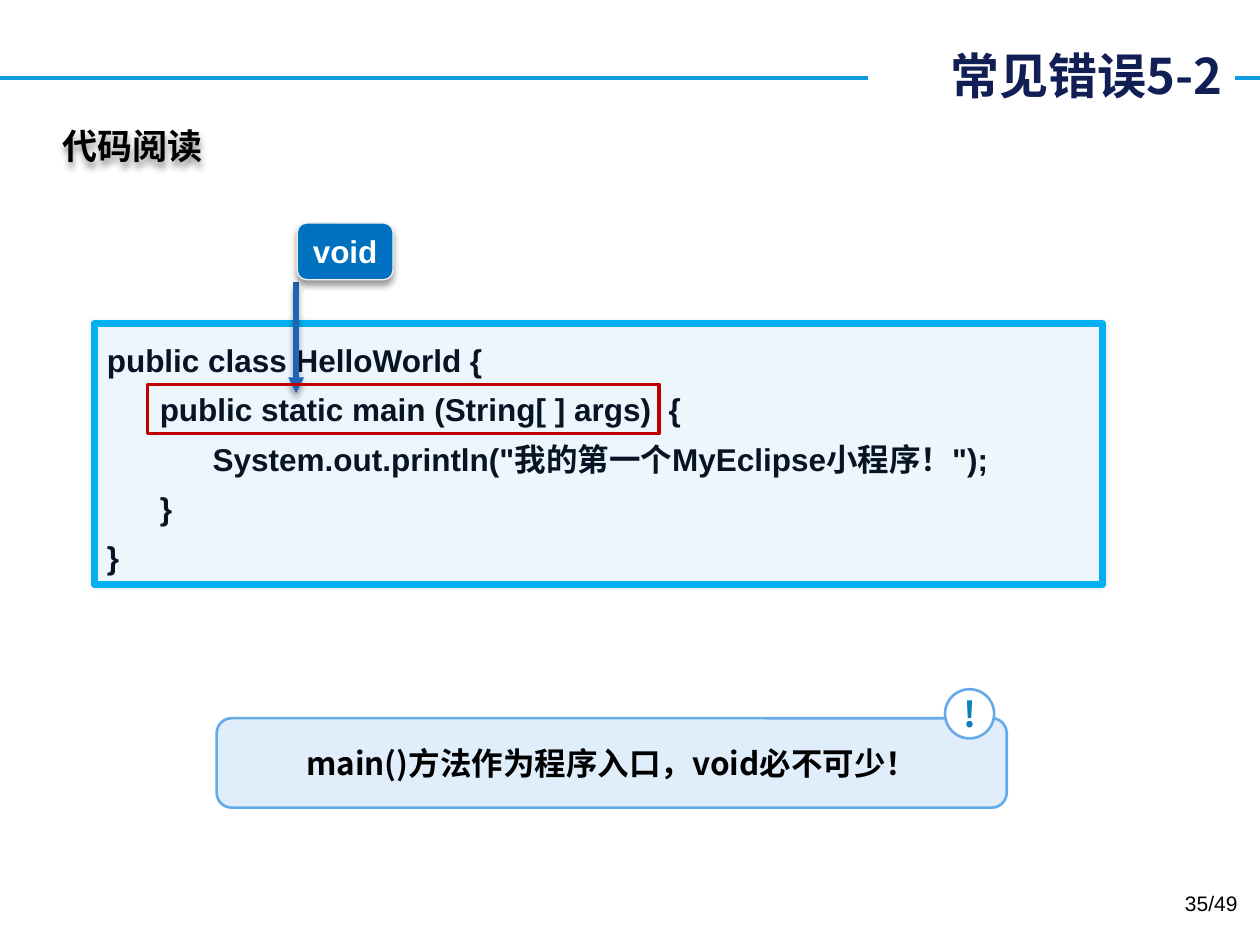
from lxml import etree
from pptx import Presentation
from pptx.dml.color import RGBColor
from pptx.enum import shapes, text
from pptx.oxml import parse_xml
from pptx.oxml.ns import nsdecls, qn
from pptx.util import Inches, Pt

WHITE = RGBColor(0xFF, 0xFF, 0xFF)
BLACK = RGBColor(0, 0, 0)
RULE_BLUE = RGBColor(0x0E, 0x9C, 0xDE)
CODE_FILL = RGBColor(0xED, 0xF5, 0xFD)
CODE_LINE = RGBColor(0x00, 0xB0, 0xF0)
CODE_TEXT = RGBColor(0x07, 0x14, 0x24)
ARROW_BLUE = RGBColor(0x21, 0x63, 0xB4)
VOID_FILL = RGBColor(0x00, 0x70, 0xC0)
VOID_LINE = RGBColor(0xF2, 0xF2, 0xF2)
NAVY = RGBColor(0x12, 0x1F, 0x55)
RED = RGBColor(0xC0, 0, 0)
NOTE_FILL = RGBColor(0xE0, 0xEE, 0xFB)
NOTE_LINE = RGBColor(0x65, 0xAA, 0xE9)
MARK_BLUE = RGBColor(0x0C, 0x83, 0xB8)
CJK = "Noto Sans CJK SC"
SHAPE = shapes.MSO_SHAPE
ALIGN = text.PP_ALIGN
MIDDLE = text.MSO_ANCHOR.MIDDLE
TOP = text.MSO_ANCHOR.TOP


def add_box(kind, place, fill, line, width, words="", size=18, font=CJK,
            color=BLACK, bold=True, align=ALIGN.CENTER, anchor=MIDDLE,
            wrap=True, margin=0.1):
    place = [Inches(length) for length in place]
    if kind is None:
        box = slide.shapes.add_textbox(*place)
    else:
        box = slide.shapes.add_shape(kind, *place)
        box.shadow.inherit = False
        if fill is None:
            box.fill.background()
        else:
            box.fill.solid()
            box.fill.fore_color.rgb = fill
        if line is None:
            box.line.fill.background()
        else:
            box.line.color.rgb = line
            box.line.width = Pt(width)
    frame = box.text_frame
    frame.word_wrap = wrap
    frame.vertical_anchor = anchor
    frame.margin_left = frame.margin_right = Inches(margin)
    frame.text = words
    for paragraph in frame.paragraphs:
        paragraph.alignment = align
        for run in paragraph.runs:
            run.font.size = Pt(size)
            run.font.bold = bold
            run.font.color.rgb = color
            run.font.name = font
            latin = run.font._element.find(qn("a:latin"))
            east_asian = etree.Element(qn("a:ea"), typeface=CJK)
            latin.addnext(east_asian)
    return box


def add_shadow(item, opacity, blur, distance):
    properties = item._element.spPr
    for effects in properties.findall(qn("a:effectLst")):
        properties.remove(effects)
    if opacity == 0:
        etree.SubElement(properties, qn("a:effectLst"))
        return
    properties.append(parse_xml(
        f'<a:effectLst {nsdecls("a")}><a:outerShdw blurRad="{Pt(blur)}" '
        f'dist="{Pt(distance)}" dir="5400000" rotWithShape="0">'
        f'<a:srgbClr val="000000"><a:alpha val="{opacity * 1000}"/></a:srgbClr>'
        '</a:outerShdw></a:effectLst>'))


deck = Presentation()
deck.slide_width, deck.slide_height = Inches(10), Inches(7.5)
slide = deck.slides.add_slide(deck.slide_layouts[6])

rule = slide.shapes.add_connector(shapes.MSO_CONNECTOR.STRAIGHT, Inches(0), Inches(0.62),
                                  Inches(10), Inches(0.62))
rule.line.color.rgb = RULE_BLUE
rule.line.width = Pt(2.25)
add_shadow(rule, 0, 0, 0)

code_lines = [
    "public class HelloWorld {",
    "\tpublic static main (String[ ] args)  {",
    "\t\tSystem.out.println(\"我的第一个MyEclipse小程序！\");",
    "\t}",
    "}",
]
code = add_box(SHAPE.ROUNDED_RECTANGLE, (0.75, 2.57, 8, 2.07), CODE_FILL, CODE_LINE, 4,
               "\n".join(code_lines), font="Arial", color=CODE_TEXT, align=ALIGN.LEFT,
               anchor=TOP)
code.adjustments[0] = 0
add_shadow(code, 10, 3, 0)
for paragraph in code.text_frame.paragraphs:
    paragraph.line_spacing = 1.3
    stops = etree.SubElement(paragraph._p.get_or_add_pPr(), qn("a:tabLst"))
    for level in (1, 2):
        etree.SubElement(stops, qn("a:tab"), pos=str(Inches(0.42 * level)), algn="l")

arrow = slide.shapes.add_connector(shapes.MSO_CONNECTOR.STRAIGHT, Inches(2.35), Inches(2.24),
                                   Inches(2.35), Inches(3.12))
arrow.line.color.rgb = ARROW_BLUE
arrow.line.width = Pt(3)
etree.SubElement(arrow.line._get_or_add_ln(), qn("a:tailEnd"), type="triangle")
add_shadow(arrow, 40, 4, 3)

void = add_box(SHAPE.ROUNDED_RECTANGLE, (2.36, 1.77, 0.76, 0.45), VOID_FILL, VOID_LINE, 0.75,
               "void", font="Arial", color=WHITE, wrap=False)
add_shadow(void, 40, 4, 3)

add_box(SHAPE.RECTANGLE, (6.89, 0.31, 2.91, 0.57), WHITE, None, 0,
        "常见错误5-2", size=28, color=NAVY, align=ALIGN.RIGHT)
heading = add_box(None, (0.39, 0.94, 1.33, 0.44), None, None, 0, "代码阅读", size=20,
                  anchor=TOP, wrap=False)
add_shadow(heading, 40, 4, 3)

add_box(SHAPE.RECTANGLE, (1.17, 3.05, 4.06, 0.39), None, RED, 2)
add_box(SHAPE.ROUNDED_RECTANGLE, (1.72, 5.7, 6.27, 0.71), NOTE_FILL, NOTE_LINE, 1.5,
        "main()方法作为程序入口，void必不可少！")
add_box(SHAPE.OVAL, (7.5, 5.47, 0.39, 0.39), WHITE, NOTE_LINE, 1.5, "!", size=20,
        color=MARK_BLUE, margin=0)
add_box(None, (7.59, 7.02, 2.33, 0.4), None, None, 0, "35/49", size=12, font="Arial",
        bold=False, align=ALIGN.RIGHT, anchor=TOP)

deck.save("out.pptx")
